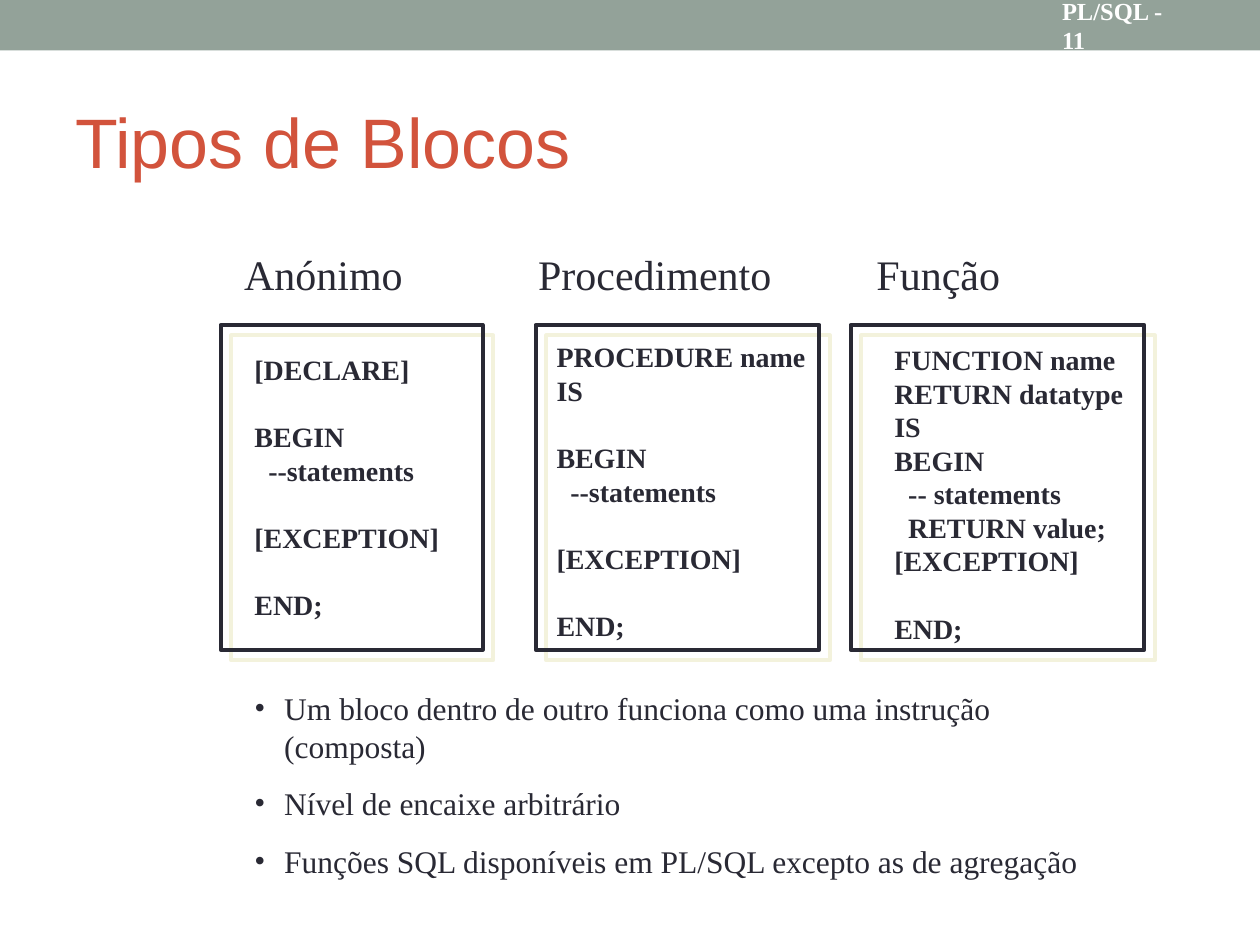
from lxml import etree
from pptx import Presentation, util as u
from pptx.dml.color import RGBColor
from pptx.enum import shapes, text
from pptx.oxml.ns import qn

Cm, Pt = u.Cm, u.Pt
COLORS = {"band": "93A299", "title": "D2533C", "ink": "292934",
          "white": "FFFFFF", "shadow": "F3F2DC"}
SERIF = "Times New Roman"
BLANK_LINE = Pt(19.2)


def rgb(key):
    return RGBColor.from_string(COLORS[key])


def add_text(at, lines, color, font_format, anchor=text.MSO_ANCHOR.TOP):
    frame = slide.shapes.add_textbox(*map(Cm, at)).text_frame
    frame.word_wrap = True
    frame.vertical_anchor = anchor
    for i, line in enumerate(lines):
        paragraph = frame.paragraphs[0] if i == 0 else frame.add_paragraph()
        run = paragraph.add_run()
        run.text = line
        run.font.color.rgb = rgb(color)
        for name, value in font_format.items():
            setattr(run.font, name, value)
    return frame.paragraphs


deck = Presentation()
deck.slide_width, deck.slide_height = Cm(25.4), Cm(19.05)
slide = deck.slides.add_slide(deck.slide_layouts[6])

# Top band with page label
band = slide.shapes.add_shape(shapes.MSO_SHAPE.RECTANGLE, 0, 0, deck.slide_width, Cm(1.02))
band.shadow.inherit = False
band.fill.solid()
band.fill.fore_color.rgb = rgb("band")
band.line.fill.background()
add_text((21.16, 0.05, 2.97, 0.91), ["PL/SQL - 11"], "white",
         {"name": SERIF, "size": Pt(14), "bold": True}, text.MSO_ANCHOR.MIDDLE)

# Title
add_text((1.27, 1.47, 22.86, 2.74), ["Tipos de Blocos"], "title",
         {"name": "Arial", "size": Pt(40)}, text.MSO_ANCHOR.MIDDLE)

# Headings of the three block types, placed by tab stops
headings = add_text((4.67, 4.88, 17, 1.27), ["Anónimo\tProcedimento\tFunção"], "ink",
                    {"name": SERIF, "size": Pt(24)})[0]
tab_list = etree.SubElement(headings._p.get_or_add_pPr(), qn("a:tabLst"))
for stop in (5.93, 12.75):
    etree.SubElement(tab_list, qn("a:tab"), pos=str(Cm(stop)), algn="l")

# Frames: left, width
for left, width in ((4.45, 5.28), (10.8, 5.72), (17.15, 5.92)):
    frame_box = slide.shapes.add_shape(shapes.MSO_SHAPE.RECTANGLE,
                                       *map(Cm, (left, 6.55, width, 6.55)))
    frame_box.fill.background()
    frame_box.line.color.rgb = rgb("ink")
    frame_box.line.width = Pt(2.25)
    frame_box.shadow.inherit = False
    effects = frame_box._element.spPr.find(qn("a:effectLst"))
    shadow = etree.SubElement(effects, qn("a:outerShdw"), dist=str(Pt(8.5)),
                              dir=str(45 * 60000), algn="ctr", rotWithShape="0")
    etree.SubElement(shadow, qn("a:srgbClr"), val=COLORS["shadow"])

# Code: position, lines, indices of lines that follow a gap, indices of indented lines
code_blocks = [
    ((4.88, 6.98, 4.45, 5.69),
     ["[DECLARE]", "BEGIN", "--statements", "[EXCEPTION]", "END;"], (1, 3, 4), (2,)),
    ((10.97, 6.73, 5.6, 6.35),
     ["PROCEDURE name", "IS", "BEGIN", "--statements", "[EXCEPTION]", "END;"],
     (2, 4, 5), (3,)),
    ((17.78, 6.78, 5.51, 6.35),
     ["FUNCTION name", "RETURN datatype", "IS", "BEGIN", "-- statements",
      "RETURN value;", "[EXCEPTION]", "END;"], (7,), (4, 5)),
]
for at, code, spaced, indented in code_blocks:
    paragraphs = add_text(at, code, "ink", {"name": SERIF, "size": Pt(16), "bold": True})
    for i in spaced:
        paragraphs[i].space_before = BLANK_LINE
    for i in indented:
        paragraphs[i]._p.get_or_add_pPr().set("marL", str(Cm(0.28)))

# Remarks
remarks = ["Um bloco dentro de outro funciona como uma instrução (composta)",
           "Nível de encaixe arbitrário",
           "Funções SQL disponíveis em PL/SQL excepto as de agregação"]
for remark in add_text((4.88, 13.77, 18.21, 3.35), remarks, "ink",
                       {"name": SERIF, "size": Pt(18)}):
    remark.space_before = Pt(11.2)
    props = remark._p.get_or_add_pPr()
    props.set("marL", str(Cm(0.6)))
    props.set("indent", str(-Cm(0.6)))
    bullet_color = etree.SubElement(props, qn("a:buClr"))
    etree.SubElement(bullet_color, qn("a:srgbClr"), val=COLORS["ink"])
    etree.SubElement(props, qn("a:buFont"), typeface=SERIF)
    etree.SubElement(props, qn("a:buChar"), char="•")

deck.save("out.pptx")
